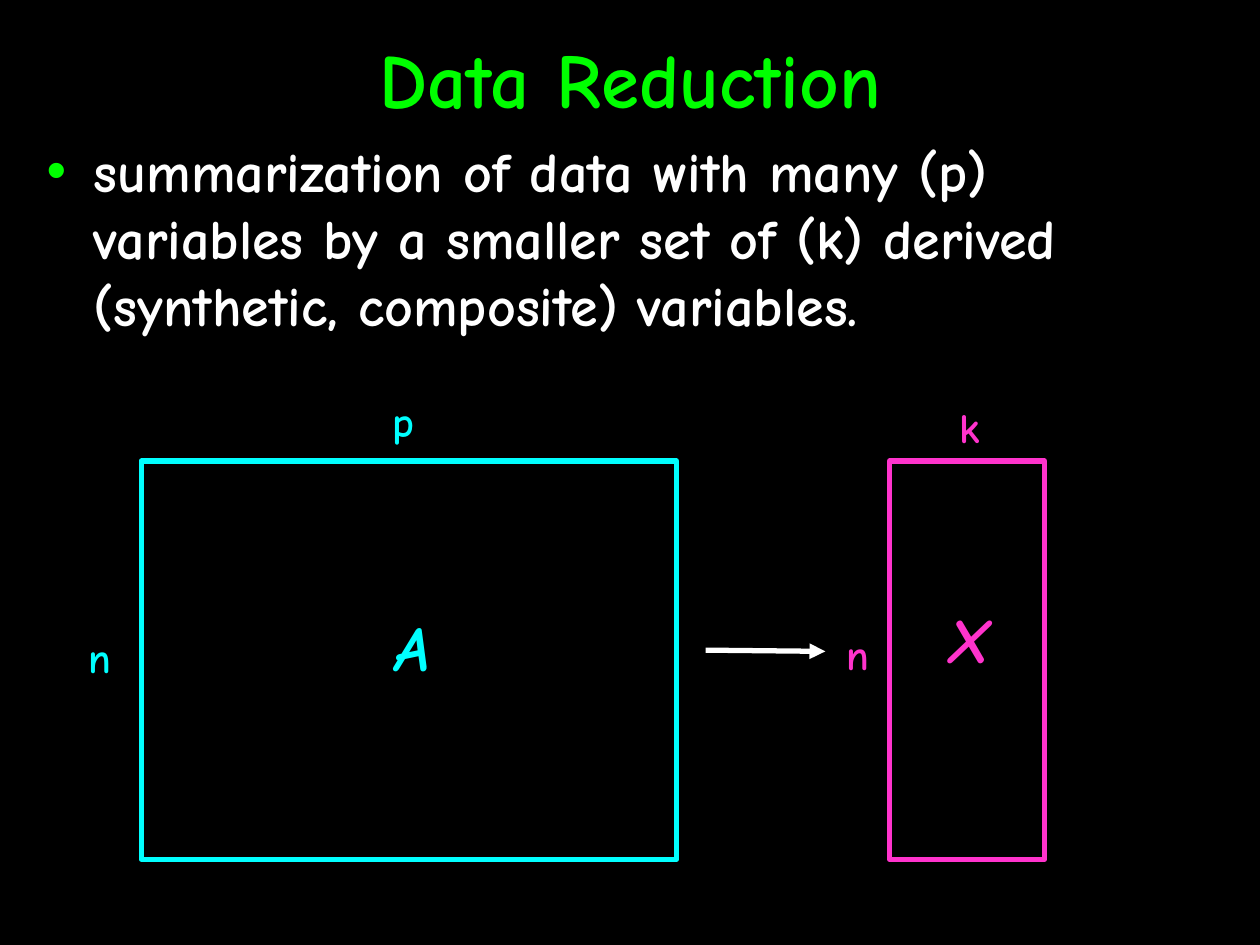
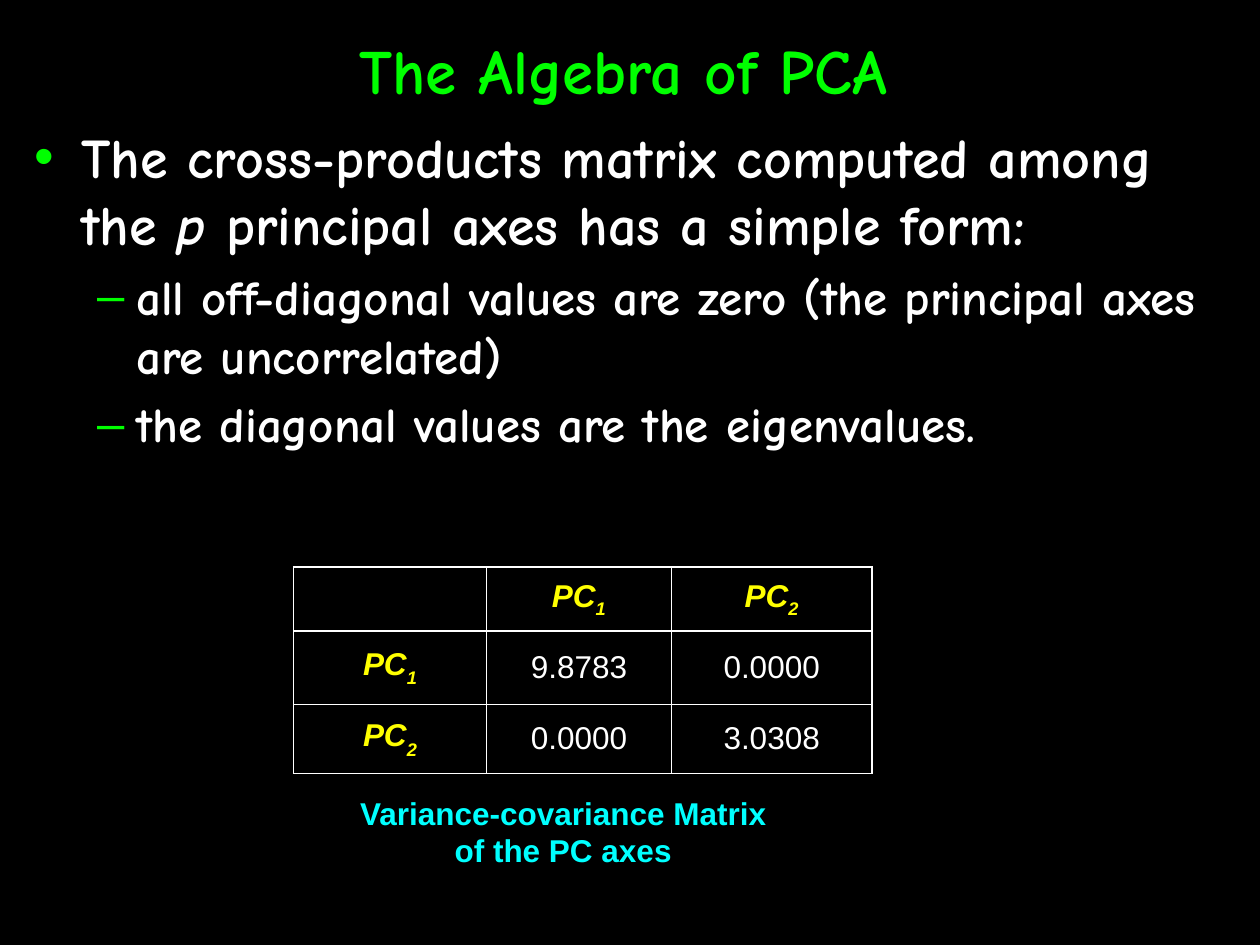
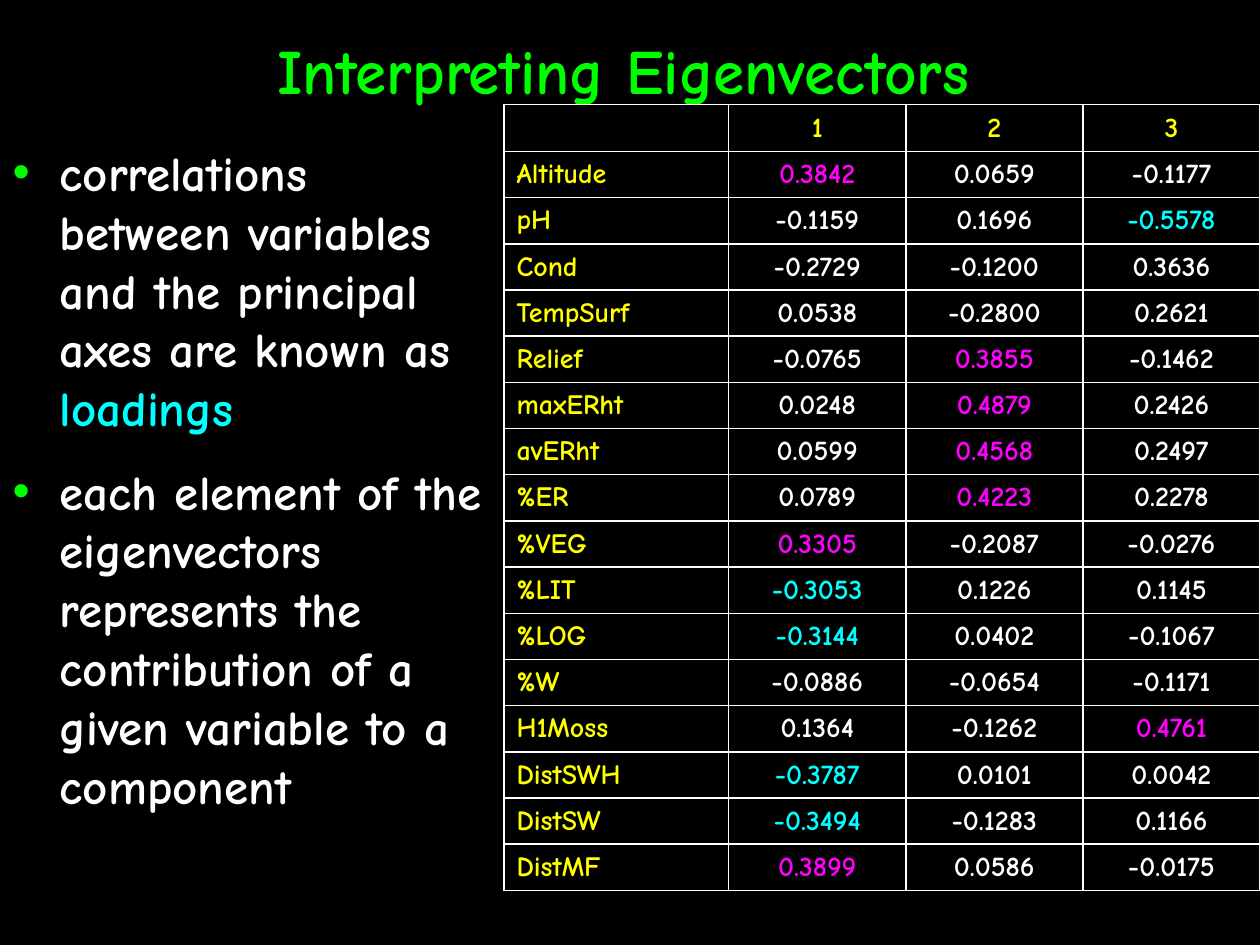
"""Build three slides on data reduction and principal component analysis."""
from lxml import etree
from pptx import Presentation
from pptx.dml.color import RGBColor
from pptx.enum.shapes import MSO_CONNECTOR, MSO_SHAPE
from pptx.enum.text import MSO_ANCHOR, MSO_AUTO_SIZE, PP_ALIGN
from pptx.oxml.ns import qn
from pptx.util import Pt

BLACK = RGBColor(0x00, 0x00, 0x00)
WHITE = RGBColor(0xFF, 0xFF, 0xFF)
GREEN = RGBColor(0x00, 0xFF, 0x00)
CYAN = RGBColor(0x00, 0xFF, 0xFF)
PINK = RGBColor(0xFF, 0x33, 0xCC)
MAGENTA = RGBColor(0xFF, 0x00, 0xFF)
YELLOW = RGBColor(0xFF, 0xFF, 0x00)

LEFT, CENTER = PP_ALIGN.LEFT, PP_ALIGN.CENTER
TOP, MIDDLE = MSO_ANCHOR.TOP, MSO_ANCHOR.MIDDLE
NO_FIT, GROW = MSO_AUTO_SIZE.NONE, MSO_AUTO_SIZE.SHAPE_TO_FIT_TEXT
RECTANGLE, STRAIGHT = MSO_SHAPE.RECTANGLE, MSO_CONNECTOR.STRAIGHT

COMIC = {"name": "Comic Neue", "bold": True, "italic": False}
ARIAL = {"name": "Arial", "bold": False, "italic": False}
HEADING = {**ARIAL, "size": Pt(18), "bold": True, "italic": True, "color": YELLOW}
VALUE = {**ARIAL, "size": Pt(18), "color": WHITE}
LOADING = {**COMIC, "size": Pt(16)}
BULLETS = (
    {"char": "•", "margin": 27, "hanging": -27, "before": "50000"},
    {"char": "–", "margin": 58.5, "hanging": -22.5, "before": "20000"},
)
TITLE_BOX = (2.88, -2.88, 706.32, 84.96)
LOADING_LIMITS = (0.3, 0.3, 0.4)
LOADINGS = (
    ("Altitude", "0.3842", "0.0659", "-0.1177"),
    ("pH", "-0.1159", "0.1696", "-0.5578"),
    ("Cond", "-0.2729", "-0.1200", "0.3636"),
    ("TempSurf", "0.0538", "-0.2800", "0.2621"),
    ("Relief", "-0.0765", "0.3855", "-0.1462"),
    ("maxERht", "0.0248", "0.4879", "0.2426"),
    ("avERht", "0.0599", "0.4568", "0.2497"),
    ("%ER", "0.0789", "0.4223", "0.2278"),
    ("%VEG", "0.3305", "-0.2087", "-0.0276"),
    ("%LIT", "-0.3053", "0.1226", "0.1145"),
    ("%LOG", "-0.3144", "0.0402", "-0.1067"),
    ("%W", "-0.0886", "-0.0654", "-0.1171"),
    ("H1Moss", "0.1364", "-0.1262", "0.4761"),
    ("DistSWH", "-0.3787", "0.0101", "0.0042"),
    ("DistSW", "-0.3494", "-0.1283", "0.1166"),
    ("DistMF", "0.3899", "0.0586", "-0.0175"),
)


def set_all(target, values):
    """Set every named attribute of the target."""
    for name, value in values.items():
        setattr(target, name, value)


def points(values):
    """Turn plain numbers into lengths."""
    return [Pt(value) for value in values]


def place(shape, box):
    """Move and size a shape to a box in points."""
    set_all(shape, dict(zip(("left", "top", "width", "height"), points(box))))


def add_element(parent, tag, **attributes):
    """Append a drawing element with its attributes."""
    return etree.SubElement(parent, qn(tag), attributes)


def write_spans(para, spans, style, align=LEFT):
    """Write (text, changes) spans; a line feed makes a line break."""
    para.alignment = align
    for text, changes in spans:
        if text == "\n":
            para.add_line_break()
            continue
        span = para.add_run()
        span.text = text
        values = {**style, **changes}
        span.font.color.rgb = values.pop("color")
        baseline = values.pop("baseline", None)
        set_all(span.font, values)
        if baseline:
            span._r.get_or_add_rPr().set("baseline", baseline)


def add_label(shapes, box, spans, style):
    """Add a centred text box that does not wrap."""
    label = shapes.add_textbox(*points(box))
    set_all(label.text_frame, {"word_wrap": False, "auto_size": GROW})
    write_spans(label.text_frame.paragraphs[0], spans, style, CENTER)


def add_bullet(para, level):
    """Give a paragraph the bullet, indent and spacing of its level."""
    bullet = BULLETS[level]
    para.level = level
    properties = para._p.get_or_add_pPr()
    properties.set("marL", str(Pt(bullet["margin"])))
    properties.set("indent", str(Pt(bullet["hanging"])))
    spacing = add_element(properties, "a:spcBef")
    add_element(spacing, "a:spcPct", val=bullet["before"])
    color = add_element(properties, "a:buClr")
    add_element(color, "a:srgbClr", val=str(GREEN))
    add_element(properties, "a:buFont", typeface="Arial")
    add_element(properties, "a:buChar", char=bullet["char"])


def add_page(deck, title, title_box, title_size, body_box, items):
    """Add a titled page whose items are (level, size, spans)."""
    page = deck.slides.add_slide(deck.slide_layouts[1])
    heading, body = page.shapes.title, page.placeholders[1]
    for holder, box, anchor in ((heading, title_box, MIDDLE), (body, body_box, TOP)):
        place(holder, box)
        set_all(holder.text_frame, {"auto_size": NO_FIT, "word_wrap": True,
                                    "vertical_anchor": anchor})
    title_style = {**COMIC, "size": Pt(title_size), "color": GREEN}
    write_spans(heading.text_frame.paragraphs[0], [(title, {})], title_style, CENTER)
    frame = body.text_frame
    for index, (level, size, spans) in enumerate(items):
        para = frame.add_paragraph() if index else frame.paragraphs[0]
        write_spans(para, spans, {**COMIC, "size": Pt(size), "color": WHITE})
        add_bullet(para, level)
    return page


def add_matrix(page, box, color, labels):
    """Draw a matrix outline with (text, size, italic, box offset) labels."""
    group = page.shapes.add_group_shape()
    outline = group.shapes.add_shape(RECTANGLE, *points(box))
    outline.shadow.inherit = False
    outline.fill.background()
    outline.line.color.rgb = color
    outline.line.width = Pt(3)
    for text, size, italic, (across, down, width, height) in labels:
        style = {**COMIC, "size": Pt(size), "italic": italic, "color": color}
        label_box = (box[0] + across, box[1] + down, width, height)
        add_label(group.shapes, label_box, [(text, {})], style)


def add_arrow(page, start, end):
    """Draw a white arrow between two points."""
    arrow = page.shapes.add_connector(STRAIGHT, *points(start + end))
    arrow.line.color.rgb = WHITE
    arrow.line.width = Pt(3)
    add_element(arrow.line._get_or_add_ln(), "a:tailEnd", type="triangle")
    add_element(arrow._element.spPr, "a:effectLst")


def format_cell(cell):
    """Give a cell white borders, no fill and a middle anchor."""
    properties = cell._tc.get_or_add_tcPr()
    for side in "LRTB":
        border = add_element(properties, f"a:ln{side}", w=str(Pt(1)))
        fill = add_element(border, "a:solidFill")
        add_element(fill, "a:srgbClr", val=str(WHITE))
    cell.fill.background()
    cell.vertical_anchor = MIDDLE


def add_grid(page, origin, widths, heights, rows):
    """Add a table whose cells are (spans, style, alignment) or None."""
    box = (*origin, sum(widths), sum(heights))
    table = page.shapes.add_table(len(heights), len(widths), *points(box)).table
    set_all(table, {"first_row": False, "horz_banding": False})
    for column, width in zip(table.columns, widths):
        column.width = Pt(width)
    for row, height, contents in zip(table.rows, heights, rows):
        row.height = Pt(height)
        for cell, content in zip(row.cells, contents):
            format_cell(cell)
            para = cell.text_frame.paragraphs[0]
            if content:
                write_spans(para, *content)
            else:
                para._p.get_or_add_endParaRPr().set("sz", "1600")


def axis_cell(number, baseline):
    """Return the heading cell of a principal axis."""
    return [("PC", {}), (number, {"baseline": baseline})], HEADING, CENTER


def loading_cell(text, limit):
    """Return a loading cell, coloured where it passes the limit."""
    value = float(text)
    color = MAGENTA if value > limit else CYAN if value < -limit else WHITE
    return [(text, {})], {**LOADING, "color": color}, CENTER


def reduction_page(deck):
    """Show a wide matrix reduced to a narrow one."""
    text = ("summarization of data with many (p) variables by a smaller set of (k) "
            "derived (synthetic, composite) variables.")
    page = add_page(deck, "Data Reduction", (7.2, -0.72, 706.32, 90), 44,
                    (19.44, 74.16, 681.12, 123.84), [(0, 32, [(text, {})])])
    add_arrow(page, (403.2, 371.52), (471.6, 372.24))
    add_matrix(page, (80.64, 263.52, 306, 227.52), CYAN, (
        ("n", 24, False, (-37.44, 93.6, 27.36, 36)),
        ("p", 24, False, (136.08, -41.04, 27.36, 36)),
        ("A", 36, True, (134.64, 80.64, 41.04, 50.4))))
    add_matrix(page, (508.32, 263.52, 88.56, 227.52), PINK, (
        ("n", 24, False, (-31.68, 92.16, 27.36, 36)),
        ("k", 24, False, (32.4, -37.44, 27.36, 36)),
        ("X", 36, True, (25.2, 76.32, 40.32, 50.4))))


def algebra_page(deck):
    """Show the covariance matrix of the principal axes."""
    page = add_page(
        deck, "The Algebra of PCA", TITLE_BOX, 36, (12.24, 66.24, 707.76, 462.24), [
            (0, 32, [("The cross-products matrix computed among the ", {}),
                     ("p", {"italic": True}),
                     (" principal axes has a simple form:", {})]),
            (1, 28, [("all off-diagonal values are zero "
                      "(the principal axes are uncorrelated)", {})]),
            (1, 28, [("the diagonal values are the eigenvalues.", {})])])
    rows = [[None] + [axis_cell(number, "-25000") for number in "12"]]
    for number, values in (("1", ("9.8783", "0.0000")), ("2", ("0.0000", "3.0308"))):
        cells = [([(value, {})], VALUE, CENTER) for value in values]
        rows.append([axis_cell(number, "-30000")] + cells)
    add_grid(page, (167.76, 324), (110.16, 105.84, 114.48), (36.72, 41.76, 39.6), rows)
    caption = [("Variance-covariance Matrix", {}), ("\n", {}), ("of the PC axes", {})]
    add_label(page.shapes, (198, 450, 247.68, 50.4), caption,
              {**VALUE, "bold": True, "color": CYAN})


def loadings_page(deck):
    """List the loadings of the variables on three axes."""
    page = add_page(
        deck, "Interpreting Eigenvectors", TITLE_BOX, 36, (0, 77.76, 283.68, 462.24), [
            (0, 28, [("correlations between variables and the principal axes "
                      "are known as ", {}), ("loadings", {"color": CYAN})]),
            (0, 28, [("each element of the eigenvectors represents the "
                      "contribution of a given variable to a component", {})])])
    style = {**LOADING, "color": YELLOW}
    rows = [[None] + [([(number, {})], style, CENTER) for number in "123"]]
    for name, *values in LOADINGS:
        cells = [loading_cell(*pair) for pair in zip(values, LOADING_LIMITS)]
        rows.append([([(name, {})], style, LEFT)] + cells)
    add_grid(page, (288, 59.76), (128.4, 101.2, 101.2, 101.2), [26.4] * len(rows), rows)


def main():
    """Build and save the deck."""
    deck = Presentation()
    set_all(deck, {"slide_width": Pt(720), "slide_height": Pt(540)})
    background = deck.slide_master.background.fill
    background.solid()
    background.fore_color.rgb = BLACK
    for build in (reduction_page, algebra_page, loadings_page):
        build(deck)
    deck.save("out.pptx")


if __name__ == "__main__":
    main()
